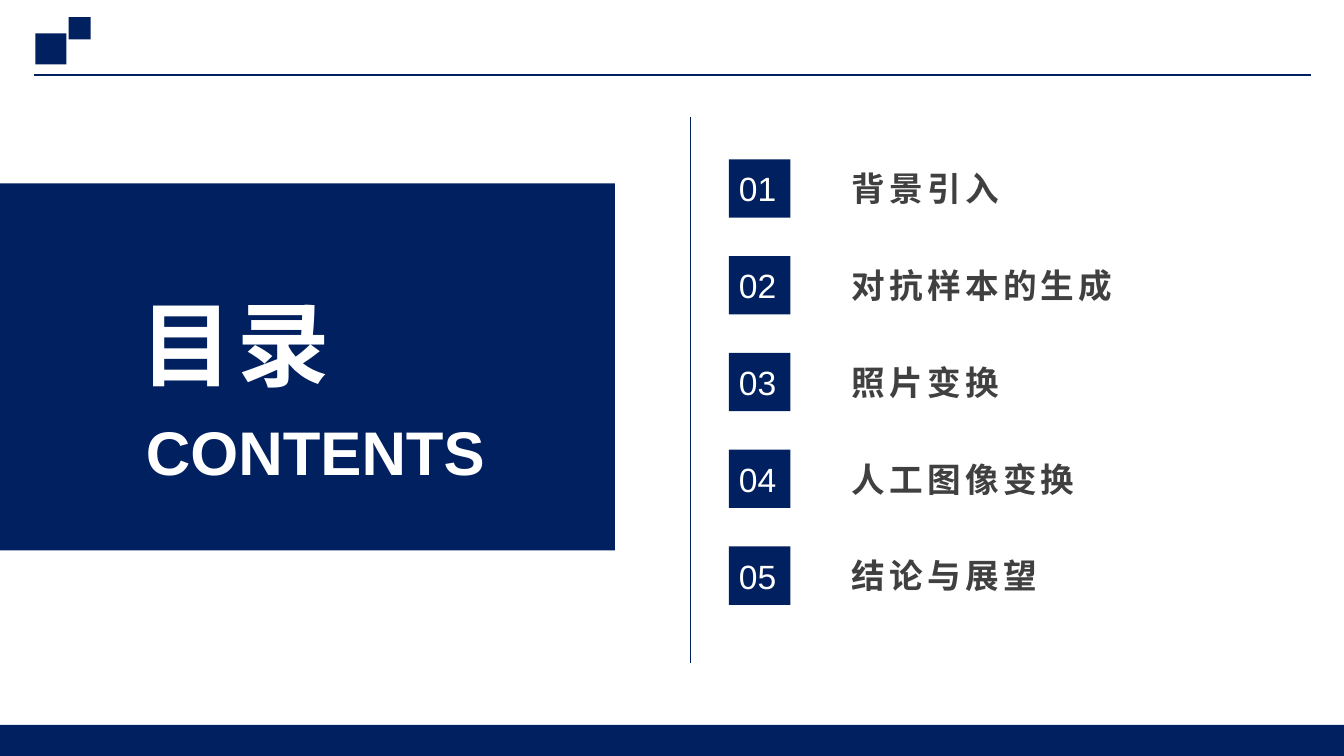
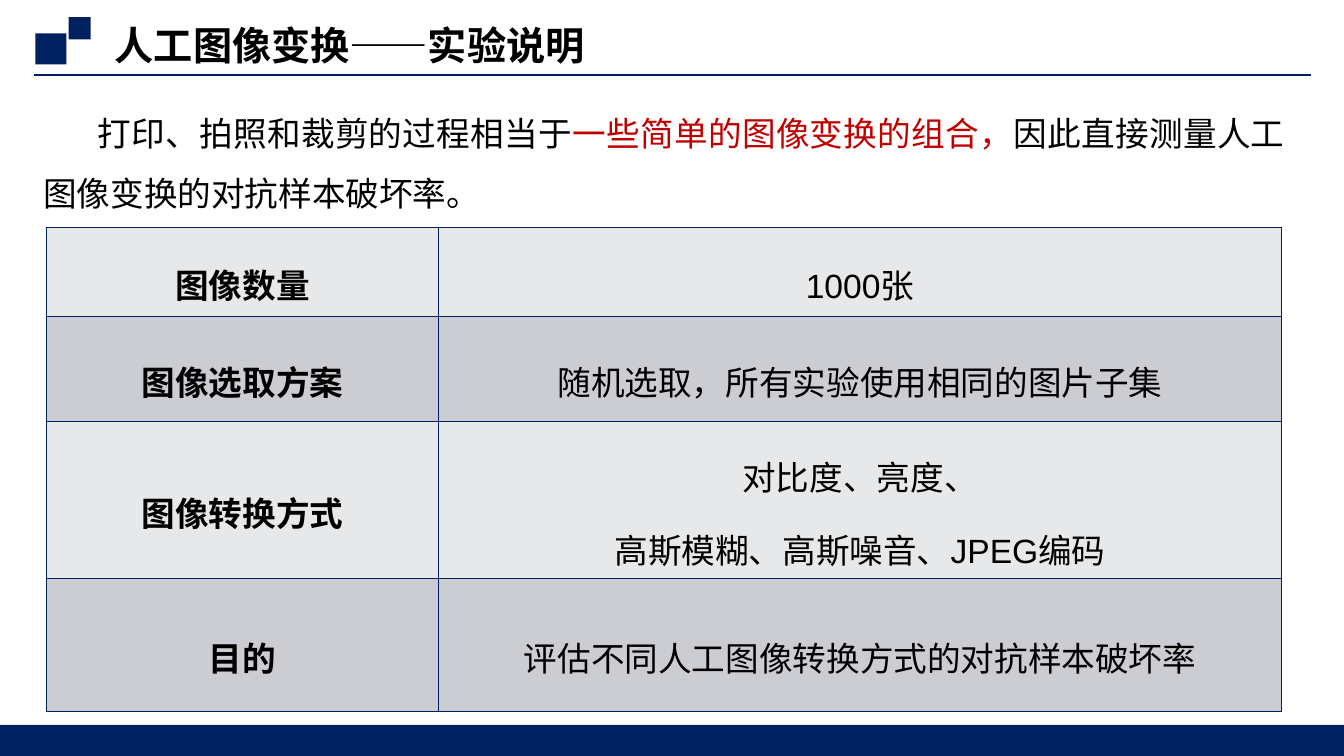
from lxml import etree
from pptx import Presentation
from pptx.dml.color import RGBColor
from pptx.enum.shapes import MSO_CONNECTOR, MSO_SHAPE
from pptx.enum.text import MSO_ANCHOR, PP_ALIGN
from pptx.oxml.ns import qn
from pptx.util import Inches, Pt

RECT, LINE = MSO_SHAPE.RECTANGLE, MSO_CONNECTOR.STRAIGHT
TOP, MIDDLE = MSO_ANCHOR.TOP, MSO_ANCHOR.MIDDLE
LEFT, CENTER, JUSTIFY = PP_ALIGN.LEFT, PP_ALIGN.CENTER, PP_ALIGN.JUSTIFY

NAVY = RGBColor(0x00, 0x20, 0x60)
WHITE = RGBColor(0xFF, 0xFF, 0xFF)
BLACK = RGBColor(0x00, 0x00, 0x00)
GRAY = RGBColor(0x40, 0x40, 0x40)
RED = RGBColor(0xC0, 0x00, 0x00)
BANDS = (RGBColor(0xE7, 0xE8, 0xEA), RGBColor(0xCC, 0xCD, 0xD2))
LATIN, CJK = "Arial", "Noto Sans CJK SC"

TOPICS = ["背景引入", "对抗样本的生成", "照片变换", "人工图像变换", "结论与展望"]
TITLE = "人工图像变换——实验说明"
INTRO = [
    ("打印、拍照和裁剪的过程相当于", BLACK),
    ("一些简单的图像变换的组合，", RED),
    ("因此直接测量人工图像变换的对抗样本破坏率。", BLACK),
]
SETUP = [
    ("图像数量", "1000张", 0.88),
    ("图像选取方案", "随机选取，所有实验使用相同的图片子集", 1.04),
    ("图像转换方式", "对比度、亮度、\n高斯模糊、高斯噪音、JPEG编码", 1.56),
    ("目的", "评估不同人工图像转换方式的对抗样本破坏率", 1.32),
]
WIDTHS = (3.89, 8.36)


def style(run, size, color, bold=False, font=LATIN, track=0):
    """Format a run; track is the letter spacing in points."""
    run.font.size, run.font.bold, run.font.name = Pt(size), bold, font
    run.font.color.rgb = color
    props = run.font._element
    etree.SubElement(props, qn("a:ea")).set("typeface", CJK)
    if track:
        props.set("spc", str(track * 100))


def write(frame, text, size, color, align=LEFT, spacing=None, **look):
    frame.text = text
    for para in frame.paragraphs:
        para.alignment = align
        if spacing:
            para.line_spacing = spacing
        for run in para.runs:
            style(run, size, color, **look)


def add_box(slide, x, y, w, h, anchor=MIDDLE, inset=True):
    box = slide.shapes.add_textbox(Inches(x), Inches(y), Inches(w), Inches(h))
    frame = box.text_frame
    frame.word_wrap, frame.vertical_anchor = True, anchor
    if not inset:
        frame.margin_left = frame.margin_right = 0
        frame.margin_top = frame.margin_bottom = 0
    return frame


def add_block(slide, x, y, w, h):
    block = slide.shapes.add_shape(RECT, Inches(x), Inches(y), Inches(w), Inches(h))
    block.shadow.inherit = False
    block.fill.solid()
    block.fill.fore_color.rgb = NAVY
    block.line.fill.background()
    return block


def add_rule(slide, x1, y1, x2, y2, width):
    rule = slide.shapes.add_connector(LINE, Inches(x1), Inches(y1), Inches(x2), Inches(y2))
    rule.line.color.rgb, rule.line.width = NAVY, Pt(width)
    etree.SubElement(rule._element.spPr, qn("a:effectLst"))


def add_page(deck):
    """Add a blank slide with the shared header and footer."""
    slide = deck.slides.add_slide(deck.slide_layouts[6])
    add_rule(slide, 0.34, 0.74, 13, 0.74, 1.5)
    add_block(slide, 0.35, 0.33, 0.31, 0.31)
    add_block(slide, 0.68, 0.17, 0.22, 0.22)
    add_block(slide, 0, 7.19, 13.33, 0.31)
    return slide


def add_borders(cell):
    props = cell._tc.get_or_add_tcPr()
    for spot, side in enumerate(("lnL", "lnR", "lnT", "lnB")):
        edge = etree.Element(qn(f"a:{side}"), w=str(Pt(1)))
        fill = etree.SubElement(edge, qn("a:solidFill"))
        etree.SubElement(fill, qn("a:srgbClr")).set("val", str(NAVY))
        props.insert(spot, edge)


def build_contents(deck):
    slide = add_page(deck)
    add_block(slide, 0, 1.82, 6.1, 3.64)
    write(add_box(slide, 0.84, 2.84, 2.99, 1.11, inset=False), "目录", 66, WHITE,
          CENTER, bold=True, track=3)
    write(add_box(slide, 1.35, 3.91, 3.66, 0.91, TOP), "CONTENTS", 44, WHITE,
          spacing=1.2, bold=True)
    add_rule(slide, 6.85, 1.16, 6.85, 6.58, 0.5)
    for i, topic in enumerate(TOPICS):
        y = 1.58 + 0.96 * i
        badge = add_block(slide, 7.23, y, 0.61, 0.58).text_frame
        badge.vertical_anchor = MIDDLE
        write(badge, f"{i + 1:02}", 24, WHITE)
        write(add_box(slide, 8.45, y + 0.09, 3.11, 0.4, inset=False), topic, 24, GRAY,
              bold=True, font=CJK, track=3)


def build_setup(deck):
    slide = add_page(deck)
    write(add_box(slide, 1.04, 0.15, 9.8, 0.59), TITLE, 28, BLACK, bold=True, font=CJK)

    para = add_box(slide, 0.33, 0.87, 12.51, 1.23, TOP).paragraphs[0]
    para.alignment, para.line_spacing = JUSTIFY, 1.5
    para._p.get_or_add_pPr().set("indent", str(Inches(0.54)))
    for text, color in INTRO:
        run = para.add_run()
        run.text = text
        style(run, 24, color)

    height = sum(row[2] for row in SETUP)
    table = slide.shapes.add_table(len(SETUP), len(WIDTHS), Inches(0.46), Inches(2.26),
                                   Inches(sum(WIDTHS)), Inches(height)).table
    for column, width in zip(table.columns, WIDTHS):
        column.width = Inches(width)
    for r, (label, value, tall) in enumerate(SETUP):
        table.rows[r].height = Inches(tall)
        for c, text in enumerate((label, value)):
            cell = table.cell(r, c)
            cell.vertical_anchor = MIDDLE
            cell.fill.solid()
            cell.fill.fore_color.rgb = BANDS[r % 2]
            write(cell.text_frame, text, 24, BLACK, CENTER, 1.5, bold=c == 0)
            add_borders(cell)


def main():
    deck = Presentation()
    deck.slide_width, deck.slide_height = Inches(13.33), Inches(7.5)
    build_contents(deck)
    build_setup(deck)
    deck.save("out.pptx")


if __name__ == "__main__":
    main()
